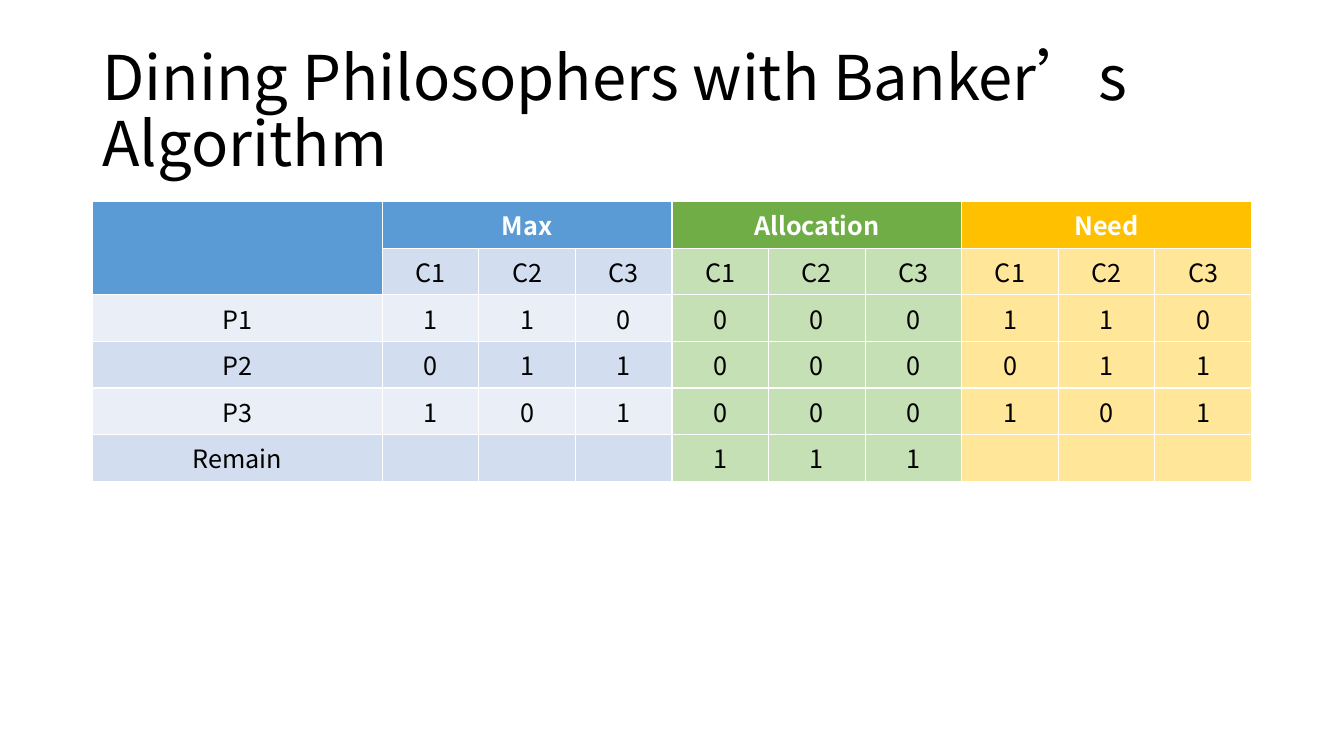
from pptx import Presentation
from pptx.dml.color import RGBColor
from pptx.enum.text import MSO_ANCHOR, MSO_AUTO_SIZE, PP_ALIGN
from pptx.oxml.ns import qn
from pptx.util import Pt
from lxml import etree

MIDDLE = MSO_ANCHOR.MIDDLE
NO_FIT = MSO_AUTO_SIZE.NONE
LEFT, CENTER = PP_ALIGN.LEFT, PP_ALIGN.CENTER

TITLE = "Dining Philosophers with Banker’s Algorithm"
GROUPS = ["Max", "Allocation", "Need"]
FORKS = ["C1", "C2", "C3"]
ROWS = [
    ("P1", "110", "000", "110"),
    ("P2", "011", "000", "011"),
    ("P3", "101", "000", "101"),
    ("Remain", "", "111", ""),
]
FONT = "Noto Sans CJK SC"
COLORS = {
    "black": "000000", "white": "FFFFFF",
    "blue": "5B9BD5", "green": "70AD47", "gold": "FFC000",
    "band": "D2DEEF", "pale": "EAEFF7",
    "mint": "C5E0B4", "cream": "FFE699",
}
HEADS = ["blue", "green", "gold"]
SPAN = len(FORKS)
EDGE, WIDTH = 66, 828
TOP, HIGH = 144, 33.2
FORK_W = 69
NAME_W = WIDTH - FORK_W * SPAN * len(GROUPS)


def color(name):
    return RGBColor.from_string(COLORS[name])


def write(frame, text, size, tint, align, bold=False):
    para = frame.paragraphs[0]
    para.alignment = align
    run = para.add_run()
    run.text = text
    font = run.font
    font.name, font.size, font.bold = FONT, Pt(size), bold
    font.color.rgb = color(tint)
    etree.SubElement(run._r.rPr, qn("a:ea"), typeface=FONT)
    return para


def paint(cell, fill, text="", tint="black", bold=False):
    cell.fill.solid()
    cell.fill.fore_color.rgb = color(fill)
    if text:
        write(cell.text_frame, text, 18, tint, CENTER, bold)


def add_title(slide):
    title = slide.shapes.title
    title.left, title.top = Pt(EDGE), Pt(28.75)
    title.width, title.height = Pt(WIDTH), Pt(104.4)
    frame = title.text_frame
    frame.word_wrap = True
    frame.auto_size = NO_FIT
    frame.vertical_anchor = MIDDLE
    write(frame, TITLE, 44, "black", LEFT).line_spacing = 0.9


def add_grid(slide):
    count = len(ROWS) + 2
    cols = 1 + SPAN * len(GROUPS)
    table = slide.shapes.add_table(
        count, cols, Pt(EDGE), Pt(TOP), Pt(WIDTH), Pt(HIGH * count)).table
    for i, col in enumerate(table.columns):
        col.width = Pt(FORK_W if i else NAME_W)
    for row in table.rows:
        row.height = Pt(HIGH)

    table.cell(0, 0).merge(table.cell(1, 0))
    paint(table.cell(0, 0), "blue")
    for i, (group, fill) in enumerate(zip(GROUPS, HEADS)):
        first = 1 + i * SPAN
        head = table.cell(0, first)
        head.merge(table.cell(0, first + SPAN - 1))
        paint(head, fill, group, "white", True)

    body = [("", *[FORKS] * len(GROUPS)), *ROWS]
    for r, (name, *parts) in enumerate(body, 1):
        band = "band" if r % 2 else "pale"
        if name:
            paint(table.cell(r, 0), band, name)
        for i, (part, fill) in enumerate(zip(parts, [band, "mint", "cream"])):
            for j in range(SPAN):
                text = part[j] if part else ""
                paint(table.cell(r, 1 + i * SPAN + j), fill, text)


def main():
    deck = Presentation()
    deck.slide_width, deck.slide_height = Pt(960), Pt(540)
    slide = deck.slides.add_slide(deck.slide_layouts[5])
    add_title(slide)
    add_grid(slide)
    deck.save("out.pptx")


if __name__ == "__main__":
    main()
